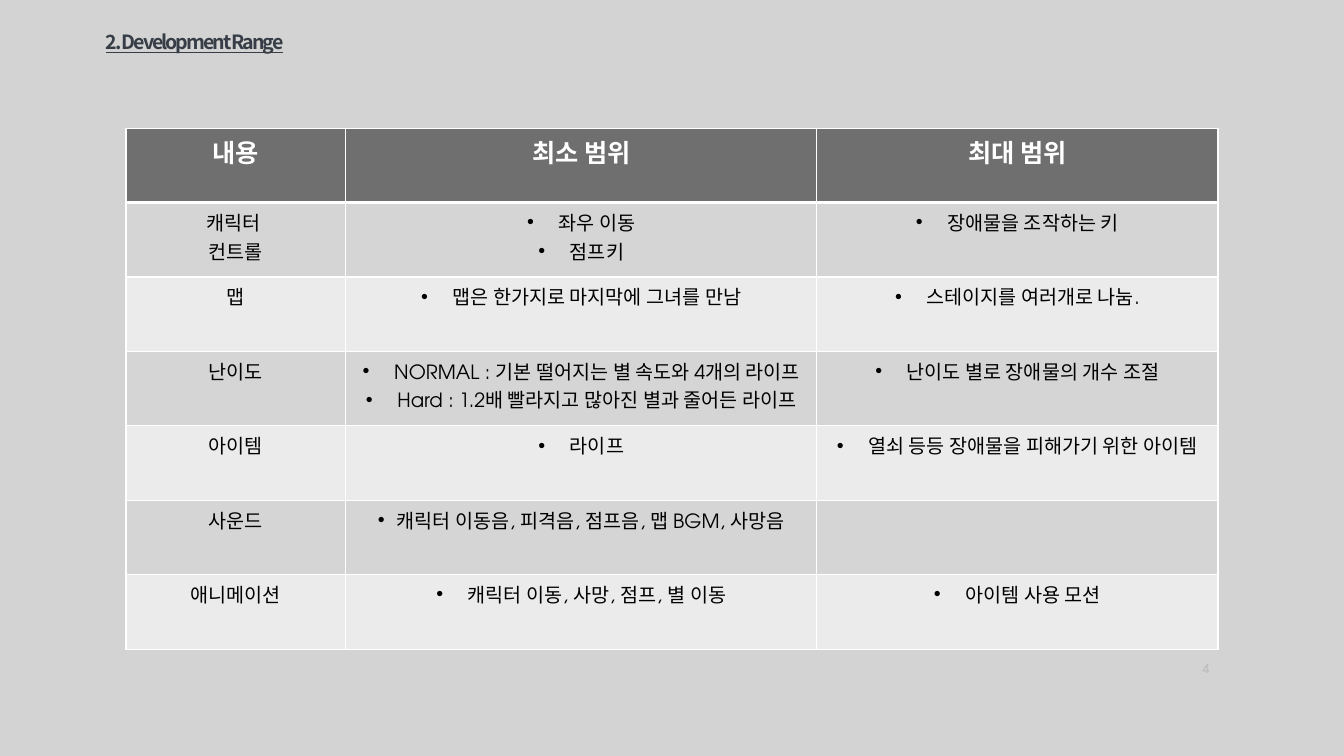
from lxml.etree import SubElement
from pptx import Presentation
from pptx.dml.color import RGBColor
from pptx.enum.text import MSO_ANCHOR, MSO_AUTO_SIZE, PP_ALIGN
from pptx.oxml.ns import qn
from pptx.util import Pt

LATIN_FONT = "TeX Gyre Adventor"
KOREAN_FONT = "Noto Sans CJK KR"
HEADER_FILL = "6F6F6F"
BAND_FILLS = ("D5D5D5", "EBEBEB")
COLUMN_WIDTHS = (157, 336.5, 286.5)
ROW_HEIGHT = 53.2
WIDE_INDENT, NARROW_INDENT = 22.5, 13.5

HEADERS = ("내용", "최소 범위", "최대 범위")
# Each row: topic lines, minimum range, maximum range
ROWS = (
    (("캐릭터 ", "컨트롤"), ("좌우 이동", "점프키"), ("장애물을 조작하는 키",)),
    (("맵",), ("맵은 한가지로 마지막에 그녀를 만남",), ("스테이지를 여러개로 나눔.",)),
    (("난이도",),
     ("NORMAL : 기본 떨어지는 별 속도와 4개의 라이프",
      "Hard : 1.2배 빨라지고 많아진 별과 줄어든 라이프"),
     ("난이도 별로 장애물의 개수 조절",)),
    (("아이템",), ("라이프",), ("열쇠 등등 장애물을 피해가기 위한 아이템",)),
    (("사운드",), ("캐릭터 이동음, 피격음, 점프음, 맵 BGM, 사망음",), ()),
    (("애니메이션",), ("캐릭터 이동, 사망, 점프, 별 이동",), ("아이템 사용 모션",)),
)


def rgb(color):
    return RGBColor.from_string(color)


def add_text(p, text, size=14, color="000000", bold=False, underline=None,
             font=LATIN_FONT, spacing=None, align=PP_ALIGN.CENTER):
    p.alignment = align
    r = p.add_run()
    r.text = text
    r.font.size = Pt(size)
    r.font.bold = bold
    r.font.underline = underline
    r.font.color.rgb = rgb(color)
    r.font.name = font
    rPr = r.font._element
    SubElement(rPr, qn("a:ea"), typeface=KOREAN_FONT)
    if spacing is not None:
        rPr.set("spc", str(int(spacing * 100)))


def add_bullet(p, indent):
    pPr = p._p.get_or_add_pPr()
    pPr.set("marL", str(Pt(indent)))
    pPr.set("indent", str(-Pt(indent)))
    SubElement(pPr, qn("a:buFont"), typeface="Arial")
    SubElement(pPr, qn("a:buChar"), char="•")


def set_borders(cell, top=1, bottom=1):
    tcPr = cell._tc.get_or_add_tcPr()
    for side, width in (("L", 1), ("R", 1), ("T", top), ("B", bottom)):
        ln = SubElement(tcPr, qn(f"a:ln{side}"), w=str(Pt(width)))
        fill = SubElement(ln, qn("a:solidFill"))
        SubElement(fill, qn("a:srgbClr"), val="FFFFFF")


def fill_cell(cell, lines, fill, top=1, bottom=1, indent=None, **text_format):
    set_borders(cell, top, bottom)
    cell.fill.solid()
    cell.fill.fore_color.rgb = rgb(fill)
    tf = cell.text_frame
    for i, line in enumerate(lines):
        p = tf.add_paragraph() if i else tf.paragraphs[0]
        add_text(p, line, **text_format)
        if indent:
            add_bullet(p, indent)


def add_range_table(s):
    row_count = len(ROWS) + 1
    table = s.shapes.add_table(row_count, len(HEADERS), Pt(90), Pt(91.5),
                               Pt(sum(COLUMN_WIDTHS)),
                               Pt(ROW_HEIGHT * row_count)).table
    for column, width in zip(table.columns, COLUMN_WIDTHS):
        column.width = Pt(width)
    for row in table.rows:
        row.height = Pt(ROW_HEIGHT)

    # Header row
    for c, header in enumerate(HEADERS):
        fill_cell(table.cell(0, c), (header,), HEADER_FILL, bottom=3,
                  size=18, color="FFFFFF", bold=True)

    # Banded rows, bulleted after the first column
    for r, row in enumerate(ROWS, start=1):
        for c, lines in enumerate(row):
            indent = NARROW_INDENT if row[0] == ("사운드",) else WIDE_INDENT
            fill_cell(table.cell(r, c), lines, BAND_FILLS[(r - 1) % 2],
                      top=3 if r == 1 else 1, indent=indent if c else None)


def add_title(s):
    title = s.shapes.title
    title.left, title.top = Pt(68.4), Pt(18)
    title.width, title.height = Pt(194.4), Pt(24.5)
    tf = title.text_frame
    tf.word_wrap = True
    tf.auto_size = MSO_AUTO_SIZE.NONE
    tf.vertical_anchor = MSO_ANCHOR.TOP
    add_text(tf.paragraphs[0], "2. Development Range", color="363D46",
             bold=True, underline=True, font=KOREAN_FONT, spacing=-1.5,
             align=PP_ALIGN.LEFT)


def add_page_number(s):
    tf = s.shapes.add_textbox(Pt(828), Pt(463), Pt(43.2), Pt(28.8)).text_frame
    tf.word_wrap = True
    tf.vertical_anchor = MSO_ANCHOR.MIDDLE
    add_text(tf.paragraphs[0], "4", size=9, color="BFBFBF", bold=True,
             align=PP_ALIGN.RIGHT)


def main():
    prs = Presentation()
    prs.slide_width, prs.slide_height = Pt(960), Pt(540)
    s = prs.slides.add_slide(prs.slide_layouts[5])
    s.background.fill.solid()
    s.background.fill.fore_color.rgb = rgb("D3D3D3")
    add_title(s)
    add_range_table(s)
    add_page_number(s)
    prs.save("out.pptx")


if __name__ == "__main__":
    main()
